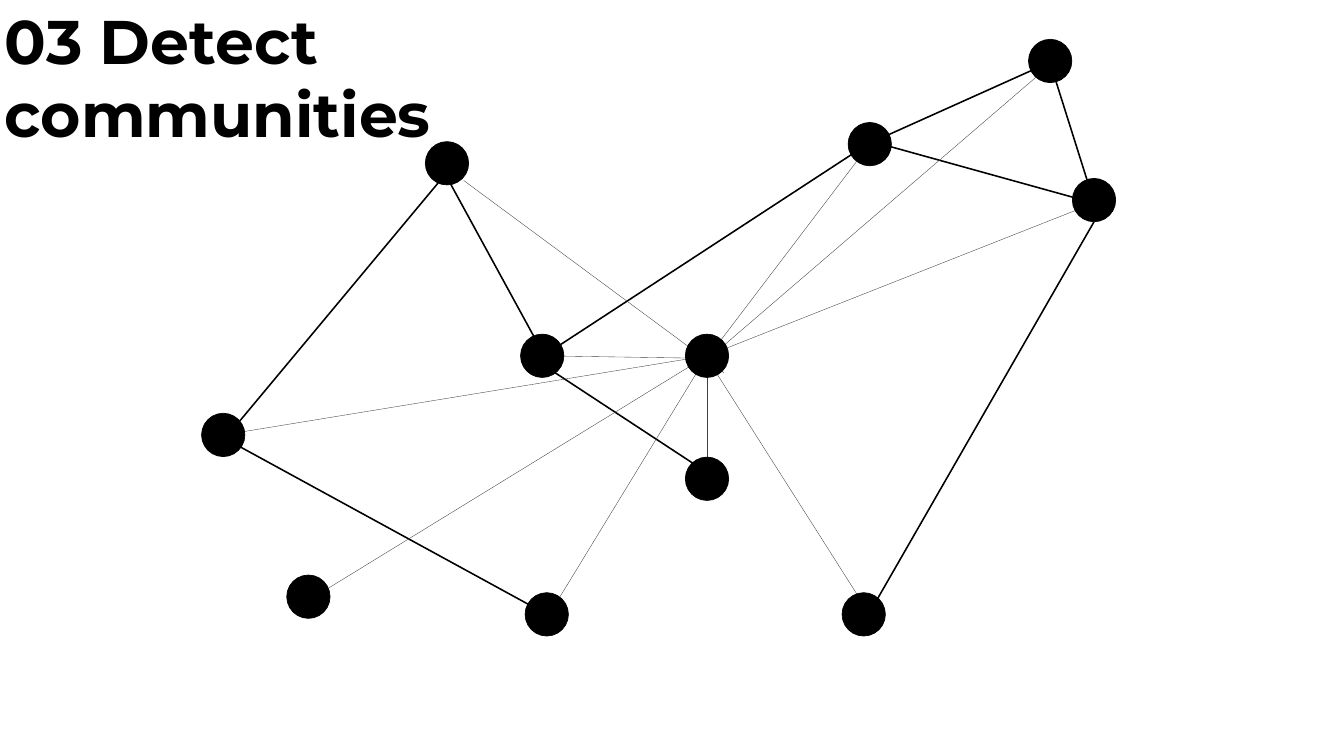
from lxml.etree import SubElement
from pptx import Presentation
from pptx.dml.color import RGBColor
from pptx.enum.shapes import MSO_CONNECTOR as Connector, MSO_SHAPE as Shape
from pptx.oxml.ns import qn
from pptx.util import Inches, Pt

BLACK = RGBColor(0x00, 0x00, 0x00)
GRAY = RGBColor(0x40, 0x40, 0x40)
FONT = "Montserrat"

# The grid has square cells of one inch.
CELL = Inches(1)
COLUMNS, ROWS = 26.67, 15
DIAMETER = 0.86

# Centre of each node, as column and row
NODES = {
    "inner": (10.76, 7.06),
    "bottom": (10.85, 12.19),
    "loner": (6.12, 11.84),
    "west": (4.43, 8.63),
    "northwest": (8.87, 3.24),
    "hub": (14.03, 7.06),
    "north": (17.26, 2.86),
    "southeast": (17.14, 12.19),
    "east": (21.71, 3.97),
    "south": (14.03, 9.5),
    "northeast": (20.84, 1.21),
}

# Start node, end node, and how far each end sits from its node's centre
COMMUNITY_LINKS = [
    ("north", "east", (0.05, -0.05), (0, 0.06)),
    ("north", "northeast", (0, -0.02), (0.05, 0)),
    ("northeast", "east", (0, 0.04), (0, 0.04)),
    ("bottom", "west", (0, 0), (0.05, 0.08)),
    ("southeast", "east", (0.05, 0.08), (0, 0.43)),
    ("inner", "south", (-0.18, 0.05), (0.19, 0)),
    ("northwest", "inner", (-0.12, 0.06), (0.11, 0.12)),
    ("west", "northwest", (0.03, 0.08), (0, 0.18)),
    ("inner", "north", (-0.1, 0.08), (0, -0.03)),
]
HUB_LINKS = [
    ("east", "hub", (0, 0.06), (0, 0)),
    ("hub", "southeast", (0.02, 0.08), (0.17, 0.08)),
    ("inner", "hub", (0, 0), (0, 0.05)),
    ("north", "hub", (0, 0), (0, 0.05)),
    ("south", "hub", (0, 0), (0, -0.07)),
    ("northwest", "hub", (0.33, 0.34), (0.34, 0.34)),
    ("hub", "northeast", (0, 0.08), (0, 0.08)),
    ("west", "hub", (0, 0), (0, 0)),
    ("bottom", "hub", (0, 0.08), (0, 0)),
    ("loner", "hub", (0.12, 0), (0, 0)),
]


def cells(count):
    return round(count * CELL)


def link_end(node, offset):
    return [cells(centre + shift) for centre, shift in zip(NODES[node], offset)]


def add_link(page, link, color, width):
    start, end, start_offset, end_offset = link
    line = page.shapes.add_connector(
        Connector.STRAIGHT, *link_end(start, start_offset), *link_end(end, end_offset)
    )
    line.line.color.rgb = color
    line.line.width = Pt(width)
    SubElement(line._element.spPr, qn("a:effectLst"))


def add_node(page, column, row):
    radius = DIAMETER / 2
    node = page.shapes.add_shape(
        Shape.OVAL, cells(column - radius), cells(row - radius),
        cells(DIAMETER), cells(DIAMETER),
    )
    node.shadow.inherit = False
    node.fill.solid()
    node.fill.fore_color.rgb = BLACK
    node.line.color.rgb = BLACK
    node.line.width = Pt(1)


def add_title(page, text):
    box = page.shapes.add_textbox(0, 0, cells(12.43), cells(1.58))
    box.text_frame.word_wrap = True
    para = box.text_frame.paragraphs[0]
    para.text = text
    para.font.name = FONT
    para.font.size = Pt(88)
    para.font.bold = True
    para.font.color.rgb = BLACK


def main():
    deck = Presentation()
    deck.slide_width, deck.slide_height = cells(COLUMNS), cells(ROWS)
    page = deck.slides.add_slide(deck.slide_layouts[6])
    for link in COMMUNITY_LINKS:
        add_link(page, link, BLACK, 2.25)
    for link in HUB_LINKS:
        add_link(page, link, GRAY, 0.5)
    for column, row in NODES.values():
        add_node(page, column, row)
    add_title(page, "03 Detect communities")
    deck.save("out.pptx")


if __name__ == "__main__":
    main()
